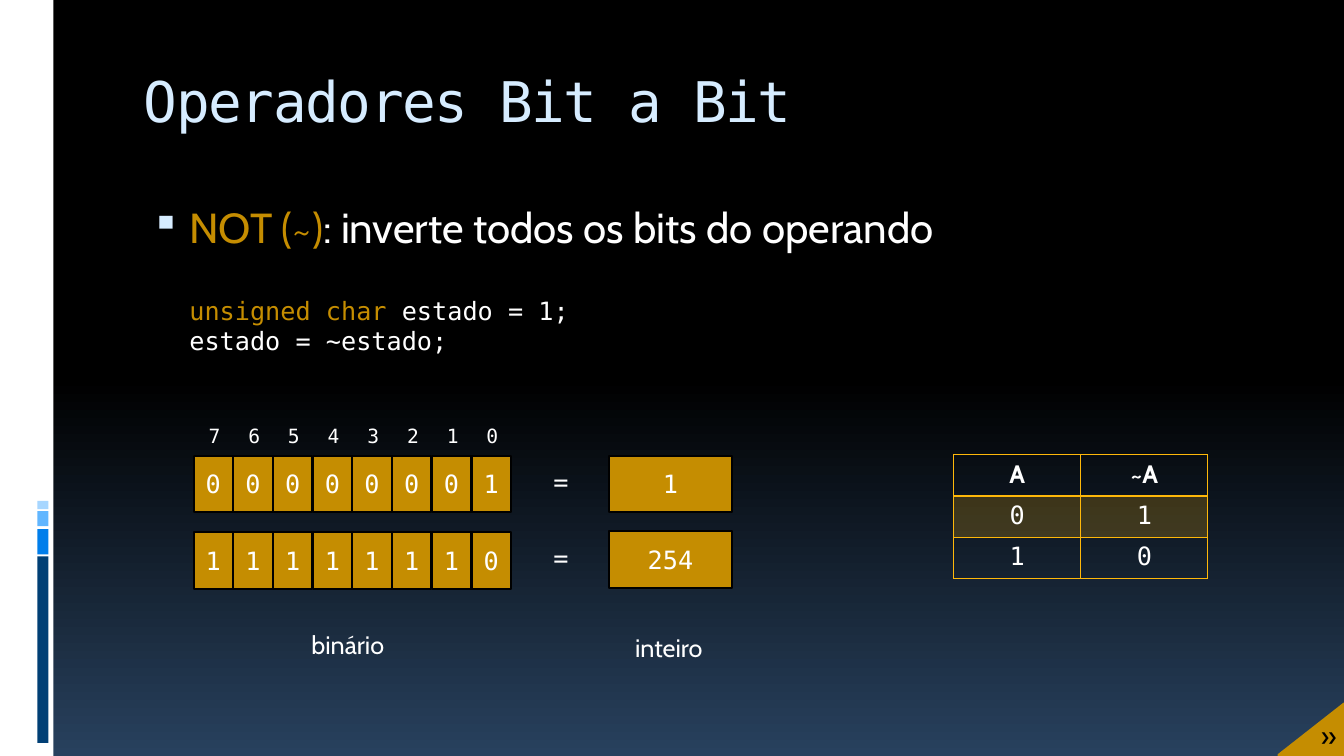
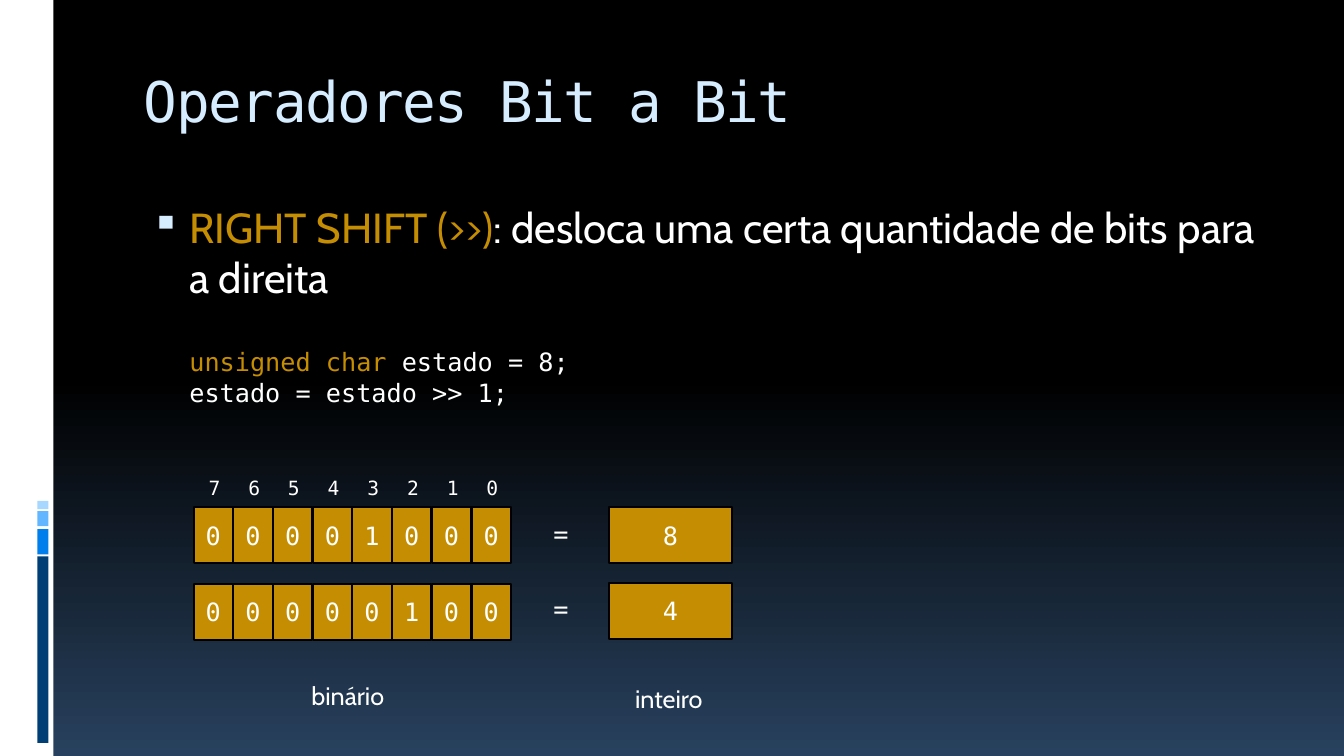
"""Build two slides on bitwise operators."""
from lxml import etree
from pptx import Presentation
from pptx.dml.color import RGBColor
from pptx.enum import shapes as kinds, text as styles
from pptx.oxml import ns
from pptx.util import Inches, Pt

WHITE = RGBColor(0xFF, 0xFF, 0xFF)
BLACK = RGBColor(0x00, 0x00, 0x00)
NIGHT = RGBColor(0x28, 0x41, 0x5E)
PALE = RGBColor(0xD6, 0xEC, 0xFF)
GOLD = RGBColor(0xC5, 0x8D, 0x01)
AMBER = RGBColor(0xFE, 0xB8, 0x0A)
BARS = [
    (5.52, 1.85, RGBColor(0x00, 0x3F, 0x75)),
    (5.25, 0.25, RGBColor(0x00, 0x7E, 0xEB)),
    (5.07, 0.15, RGBColor(0x61, 0xB6, 0xFF)),
    (4.97, 0.08, RGBColor(0xA7, 0xD6, 0xFF)),
]
SANS, MONO = "Cabin", "DejaVu Sans Mono"
BITS = 8
BIT_PITCH = 3.15 / BITS
CENTER = styles.PP_ALIGN.CENTER


def add_xml(parent, tag, **attributes):
    """Append a DrawingML element and return it."""
    return etree.SubElement(parent, ns.qn(tag), attributes)


def write(frame, *lines, size=18, font=MONO, color=WHITE, align=None, bold=False):
    """Write lines, each a string or a list of (text, color) runs."""
    for number, line in enumerate(lines):
        paragraph = frame.add_paragraph() if number else frame.paragraphs[0]
        paragraph.alignment = align
        for words, tint in [(line, color)] if isinstance(line, str) else line:
            run = paragraph.add_run()
            run.text = words
            run.font.size, run.font.name, run.font.bold = Pt(size), font, bold
            run.font.color.rgb = tint
    return frame.paragraphs[0]


def add_text(shapes, box, *lines, wrap=True, grow=True, **style):
    """Add a text box and return its frame."""
    frame = shapes.add_textbox(*map(Inches, box)).text_frame
    frame.word_wrap = wrap
    if grow:
        frame.auto_size = styles.MSO_AUTO_SIZE.SHAPE_TO_FIT_TEXT
    write(frame, *lines, **style)
    return frame


def paint(shape, fill, line=None):
    """Give a shape a flat fill and an optional outline."""
    shape.shadow.inherit = False
    shape.fill.solid()
    shape.fill.fore_color.rgb = fill
    if line is None:
        shape.line.fill.background()
    else:
        shape.line.color.rgb = line
        shape.line.width = Pt(1.5)


def add_box(shapes, box, fill, line=None, label=None):
    """Add a rectangle with an optional centred label."""
    shape = shapes.add_shape(kinds.MSO_SHAPE.RECTANGLE, *map(Inches, box))
    paint(shape, fill, line)
    if label is not None:
        shape.text_frame.vertical_anchor = styles.MSO_ANCHOR.MIDDLE
        write(shape.text_frame, label, align=CENTER)


def add_base(presentation):
    """Add a slide with the shared background, side band and title."""
    slide = presentation.slides.add_slide(presentation.slide_layouts[6])
    fill = slide.background.fill
    fill.gradient()
    fill.gradient_angle = 270
    for stop, position, color in zip(fill.gradient_stops, (0.5, 1), (BLACK, NIGHT)):
        stop.position = position
        stop.color.rgb = color
    add_box(slide.shapes, (0, 0, 0.53, 7.5), WHITE)
    for top, height, color in BARS:
        add_box(slide.shapes, (0.37, top, 0.11, height), color)
    title = add_text(slide.shapes, (1.33, 0.56, 11.33, 1), "Operadores Bit a Bit",
                     size=40, color=PALE, grow=False)
    title.margin_top = Inches(0.1)
    title.paragraphs[0].runs[0].font._element.set("spc", "-100")
    return slide


def add_bullet(shapes, operator, meaning):
    """Add the bulleted definition of an operator."""
    frame = add_text(shapes, (1.33, 1.95, 11.33, 5), [(operator, GOLD), (meaning, WHITE)],
                     size=30, font=SANS, grow=False)
    paragraph = frame.paragraphs[0]
    paragraph.space_before = Pt(7)
    properties = paragraph._p.get_or_add_pPr()
    properties.set("marL", str(Inches(0.45)))
    properties.set("indent", str(Inches(-0.38)))
    add_xml(add_xml(properties, "a:buClr"), "a:srgbClr", val=str(PALE))
    add_xml(properties, "a:buSzPct", val="95000")
    add_xml(properties, "a:buChar", char="▪")


def add_example(slide, top, code, rows):
    """Add the code and its bytes, with the first byte at the given top."""
    declaration, operation = code
    add_text(slide.shapes, (1.78, top - 1.64, 9.37, 0.71),
             [("unsigned char", GOLD), (declaration, WHITE)], operation)
    shapes = slide.shapes.add_group_shape().shapes
    for column in range(BITS):
        add_text(shapes, (1.97 + column * BIT_PITCH, top - 0.36, 0.31, 0.34),
                 str(BITS - 1 - column), size=14, wrap=False)
    for row, (bits, value) in enumerate(rows):
        for column, bit in enumerate(bits):
            add_box(shapes, (1.92 + column * BIT_PITCH, top + row * 0.76, 0.39, 0.56),
                    GOLD, BLACK, bit)
        value_top = top + row * 0.75
        add_box(shapes, (6.04, value_top, 1.22, 0.56), GOLD, BLACK, value)
        add_text(shapes, (5.39, value_top + 0.06, 0.34, 0.4), "=", wrap=False)
    add_text(shapes, (2.99, top + 1.67, 0.93, 0.4), "binário", font=SANS, wrap=False)
    add_text(shapes, (6.2, top + 1.7, 0.88, 0.4), "inteiro", font=SANS, wrap=False)


def set_borders(cell, **widths):
    """Draw the cell borders in amber, with widths in points."""
    properties = cell._tc.get_or_add_tcPr()
    for index, side in enumerate("LRTB"):
        line = add_xml(properties, f"a:ln{side}", w=str(Pt(widths.get(side, 1))))
        add_xml(add_xml(line, "a:solidFill"), "a:srgbClr", val=str(AMBER))
        properties.insert(index, line)


def add_truth_table(shapes, rows):
    """Add a truth table with a header and a shaded first row."""
    size = len(rows[0])
    table = shapes.add_table(len(rows), size, Inches(9.46), Inches(4.51),
                             Inches(1.26 * size), Inches(0.41 * len(rows))).table
    table.first_row = table.horz_banding = False
    for row, values in enumerate(rows):
        for column, value in enumerate(values):
            cell = table.cell(row, column)
            header = row == 0
            write(cell.text_frame, value, font=SANS if header else MONO,
                  bold=header, align=CENTER)
            if row == 1:
                cell.fill.solid()
                cell.fill.fore_color.rgb = AMBER
                color = cell._tc.tcPr.find(".//" + ns.qn("a:srgbClr"))
                add_xml(color, "a:alpha", val="20000")
            else:
                cell.fill.background()
            set_borders(cell, T=2 if row == 1 else 1, B=2 if header else 1)


def add_corner(slide):
    """Add the corner triangle with its forward mark."""
    shapes = slide.shapes.add_group_shape().shapes
    left, top, right, bottom = map(Inches, (12.68, 6.98, 13.33, 7.49))
    builder = shapes.build_freeform(left, bottom)
    builder.add_line_segments([(right, top), (right, bottom)], close=True)
    paint(builder.convert_to_shape(), GOLD, GOLD)
    frame = add_text(shapes, (12.93, 7.08, 0.43, 0.44), "»", size=20, font=SANS, color=BLACK)
    frame.paragraphs[0]._p.get_or_add_pPr().set("marL", str(Inches(0.07)))


def main():
    """Build and save the presentation."""
    presentation = Presentation()
    presentation.slide_width, presentation.slide_height = Inches(13.33), Inches(7.5)

    slide = add_base(presentation)
    add_bullet(slide.shapes, "NOT (~)", ": inverte todos os bits do operando")
    add_example(slide, 4.52, (" estado = 1;", "estado = ~estado;"),
                [("00000001", "1"), ("11111110", "254")])
    add_truth_table(slide.shapes, [("A", "~A"), ("0", "1"), ("1", "0")])
    add_corner(slide)

    slide = add_base(presentation)
    add_bullet(slide.shapes, "RIGHT SHIFT (>>)",
               ": desloca uma certa quantidade de bits para a direita")
    add_example(slide, 5.03, (" estado = 8;", "estado = estado >> 1;"),
                [("00001000", "8"), ("00000100", "4")])

    presentation.save("out.pptx")


main()
